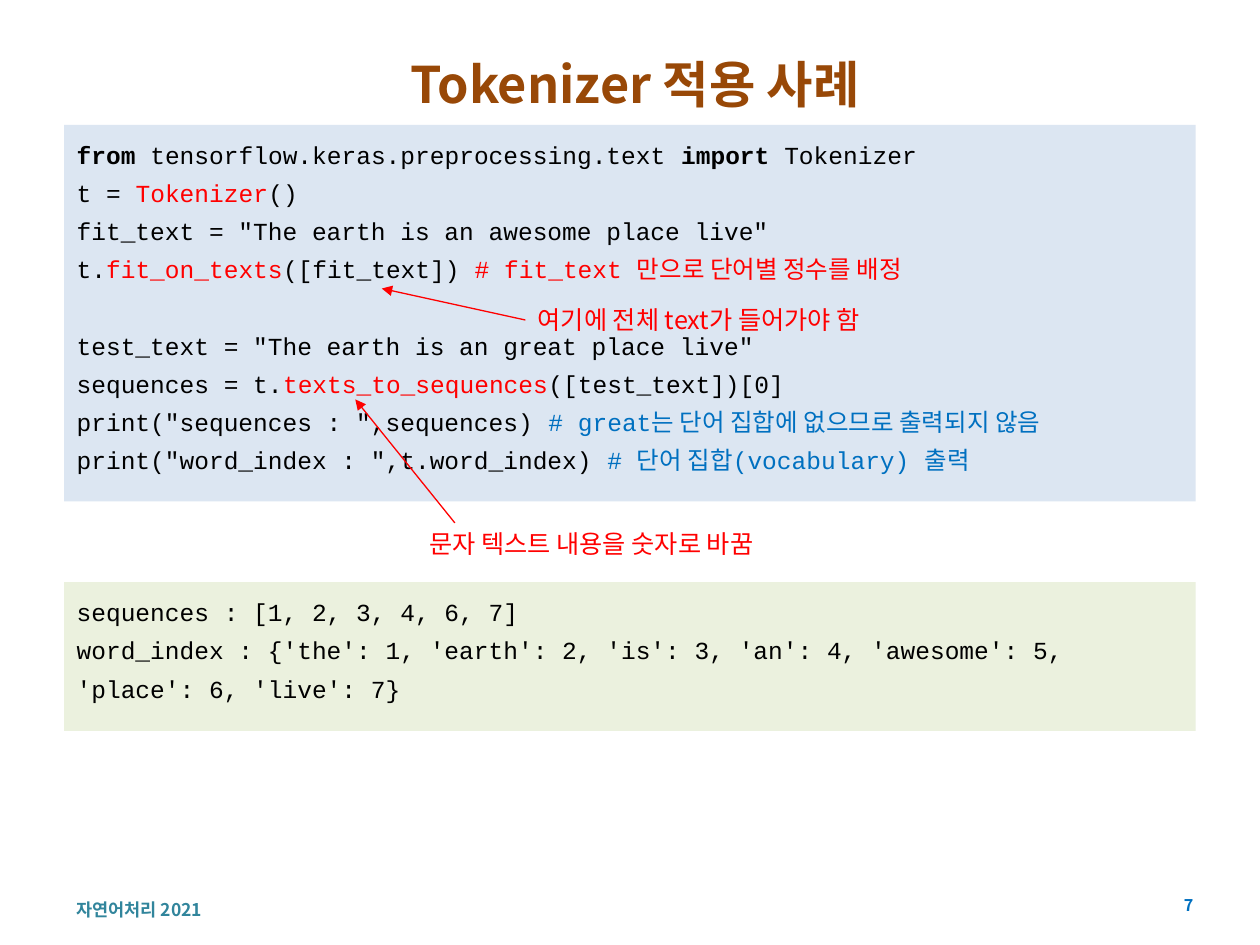
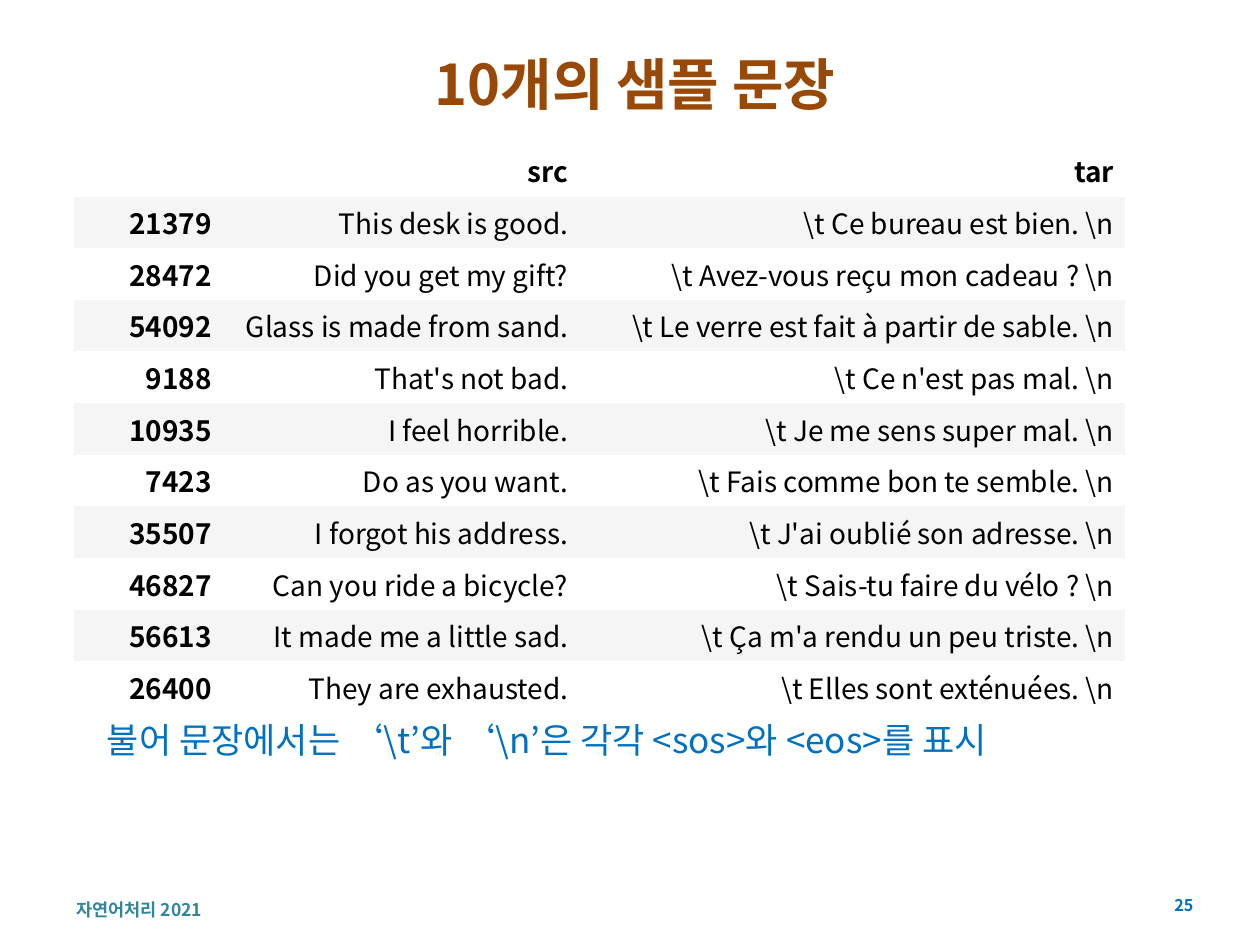
from dataclasses import dataclass

from lxml import etree
from pptx import Presentation
from pptx.dml.color import RGBColor
from pptx.enum.shapes import MSO_CONNECTOR, MSO_SHAPE
from pptx.enum.text import MSO_ANCHOR, PP_ALIGN
from pptx.oxml.ns import qn
from pptx.util import Inches, Pt

LEFT, CENTER, RIGHT = PP_ALIGN.LEFT, PP_ALIGN.CENTER, PP_ALIGN.RIGHT
TOP, MIDDLE = MSO_ANCHOR.TOP, MSO_ANCHOR.MIDDLE
RECT, STRAIGHT = MSO_SHAPE.RECTANGLE, MSO_CONNECTOR.STRAIGHT

COLORS = {
    "title": "984807", "footer": "31859C", "blue": "0070C0", "red": "FF0000",
    "black": "000000", "code": "DCE6F2", "output": "EBF1DE",
    "white": "FFFFFF", "band": "F5F5F5",
}
SANS, MONO = "Noto Sans CJK KR", "Courier New"
NO_STYLE = "{2D5ABB26-0587-4C30-8999-92F81FD0307C}"
EDGE = 0.51
LINE_GAP = 21.9


@dataclass
class Style:
    """Type settings of a paragraph."""
    size: float
    color: str = "black"
    bold: bool = False
    align: int = LEFT
    font: str = SANS


@dataclass
class Piece:
    """A piece of a code line that may stand out."""
    text: str
    color: str = ""
    bold: bool = False


@dataclass
class Line:
    """A line of code with the space above it."""
    pieces: list[Piece]
    before: float = 0


@dataclass
class Note:
    """A red remark with an arrow into the code."""
    text: str
    box: tuple
    start: tuple
    end: tuple


TITLE = Style(32, "title", True, CENTER)
FOOTER = Style(10, "footer", True)
NUMBER = Style(9.2, "blue", True, RIGHT)
REMARK = Style(14.4, "red")
LEGEND = Style(20, "blue")
CODE = Style(14, font=MONO)

SOURCE = [
    Line([Piece("from", bold=True), Piece(" tensorflow.keras.preprocessing.text "),
          Piece("import", bold=True), Piece(" Tokenizer")]),
    Line([Piece("t = "), Piece("Tokenizer", "red"), Piece("()")]),
    Line([Piece('fit_text = "The earth is an awesome place live"')]),
    Line([Piece("t."), Piece("fit_on_texts", "red"), Piece("([fit_text]) "),
          Piece("# fit_text 만으로 단어별 정수를 배정", "red")]),
    Line([Piece('test_text = "The earth is an great place live"')], LINE_GAP),
    Line([Piece("sequences = t."), Piece("texts_to_sequences", "red"),
          Piece("([test_text])[0]")]),
    Line([Piece('print("sequences : ",sequences) '),
          Piece("# great는 단어 집합에 없으므로 출력되지 않음", "blue")]),
    Line([Piece('print("word_index : ",t.word_index) '),
          Piece("# 단어 집합(vocabulary) 출력", "blue")]),
]
OUTPUT = [
    Line([Piece("sequences : [1, 2, 3, 4, 6, 7]")]),
    Line([Piece("word_index : {'the': 1, 'earth': 2, 'is': 3, 'an': 4, "
                "'awesome': 5, 'place': 6, 'live': 7}")]),
]
NOTES = [
    Note("여기에 전체 text가 들어가야 함", (4.17, 2.26, 3.46, 0.55),
         (4.17, 2.54), (3.03, 2.29)),
    Note("문자 텍스트 내용을 숫자로 바꿈", (3.31, 4.12, 3.39, 0.39),
         (3.61, 4.15), (2.82, 3.17)),
]
COLS = (1.18, 2.83, 4.33)
ROW = 0.41
SAMPLES = [
    ("", "src", "tar"),
    ("21379", "This desk is good.", r"\t Ce bureau est bien. \n"),
    ("28472", "Did you get my gift?", "\\t Avez-vous reçu mon cadeau\u00a0? \\n"),
    ("54092", "Glass is made from sand.",
     r"\t Le verre est fait à partir de sable. \n"),
    ("9188", "That's not bad.", r"\t Ce n'est pas mal. \n"),
    ("10935", "I feel horrible.", r"\t Je me sens super mal. \n"),
    ("7423", "Do as you want.", r"\t Fais comme bon te semble. \n"),
    ("35507", "I forgot his address.", r"\t J'ai oublié son adresse. \n"),
    ("46827", "Can you ride a bicycle?", r"\t Sais-tu faire du vélo ? \n"),
    ("56613", "It made me a little sad.", r"\t Ça m'a rendu un peu triste. \n"),
    ("26400", "They are exhausted.", r"\t Elles sont exténuées. \n"),
]


def shade(name: str) -> RGBColor:
    """Look up a colour by name."""
    return RGBColor.from_string(COLORS[name])


def dress(para, style: Style) -> None:
    """Give a paragraph its type settings, with Hangul in the sans font."""
    font = para.font
    font.name, font.size, font.bold = style.font, Pt(style.size), style.bold
    font.color.rgb = shade(style.color)
    para.alignment = style.align
    base = para._p.pPr.find(qn("a:defRPr"))
    etree.SubElement(base, qn("a:ea"), typeface=SANS)


def write(slide, box: tuple, text: str, style: Style) -> None:
    """Add a text box of one line, centred in its height."""
    frame = slide.shapes.add_textbox(*map(Inches, box)).text_frame
    frame.word_wrap, frame.vertical_anchor = True, MIDDLE
    para = frame.paragraphs[0]
    para.text = text
    dress(para, style)


def panel(slide, top: float, height: float, fill: str, lines: list[Line]) -> None:
    """Add a filled block of code."""
    shape = slide.shapes.add_shape(
        RECT, Inches(EDGE), Inches(top), Inches(8.98), Inches(height))
    shape.shadow.inherit = False
    shape.fill.solid()
    shape.fill.fore_color.rgb = shade(fill)
    shape.line.fill.background()
    frame = shape.text_frame
    frame.word_wrap, frame.vertical_anchor = True, TOP
    for i, line in enumerate(lines):
        para = frame.add_paragraph() if i else frame.paragraphs[0]
        dress(para, CODE)
        para.line_spacing, para.space_before = 1.3, Pt(line.before)
        for piece in line.pieces:
            run = para.add_run()
            run.text = piece.text
            if piece.bold:
                run.font.bold = True
            if piece.color:
                run.font.color.rgb = shade(piece.color)


def arrow(slide, start: tuple, end: tuple) -> None:
    """Draw a thin red arrow."""
    link = slide.shapes.add_connector(STRAIGHT, *map(Inches, start + end))
    link.line.color.rgb = shade("red")
    link.line.width = Pt(0.75)
    props = link._element.spPr
    etree.SubElement(props.find(qn("a:ln")), qn("a:tailEnd"), type="triangle")
    etree.SubElement(props, qn("a:effectLst"))


def grid(slide, left: float, top: float, rows: list[tuple]) -> None:
    """Add the banded table, with bold heads in the first row and column."""
    table = slide.shapes.add_table(
        len(rows), len(COLS), Inches(left), Inches(top),
        Inches(sum(COLS)), Inches(ROW * len(rows))).table
    table._tbl.tblPr.find(qn("a:tableStyleId")).text = NO_STYLE
    table.first_row = table.horz_banding = False
    for col, width in zip(table.columns, COLS):
        col.width = Inches(width)
    for r, row in enumerate(rows):
        table.rows[r].height = Inches(ROW)
        for c, text in enumerate(row):
            cell = table.cell(r, c)
            cell.margin_left = cell.margin_right = Inches(0.09)
            cell.margin_top = cell.margin_bottom = Inches(0.04)
            cell.vertical_anchor = MIDDLE
            cell.fill.solid()
            cell.fill.fore_color.rgb = shade("band" if r % 2 else "white")
            para = cell.text_frame.paragraphs[0]
            if text:
                para.text = text
            dress(para, Style(16, bold=r == 0 or c == 0, align=RIGHT))


def start(deck, title: str, number: int, size: float = TITLE.size):
    """Add a slide with its title and footer."""
    slide = deck.slides.add_slide(deck.slide_layouts[6])
    write(slide, (EDGE, 7.14, 2.6, 0.16), "자연어처리 2021", FOOTER)
    write(slide, (9.02, 7.06, 0.55, 0.24), str(number), NUMBER)
    write(slide, (EDGE, 0.36, 9.06, 0.6), title,
          Style(size, TITLE.color, TITLE.bold, TITLE.align))
    return slide


def main() -> None:
    """Build and save the deck."""
    deck = Presentation()
    deck.slide_width, deck.slide_height = Inches(10), Inches(7.5)

    usage = start(deck, "Tokenizer 적용 사례", 7, 28.8)
    panel(usage, 0.99, 2.99, "code", SOURCE)
    panel(usage, 4.62, 1.18, "output", OUTPUT)
    for note in NOTES:
        write(usage, note.box, note.text, REMARK)
        arrow(usage, note.start, note.end)

    pairs = start(deck, "10개의 샘플 문장", 25)
    grid(pairs, 0.59, 1.15, SAMPLES)
    write(pairs, (0.75, 5.32, 8.35, 1.1),
          r"불어 문장에서는 ‘\t’와 ‘\n’은 각각 <sos>와 <eos>를 표시", LEGEND)

    deck.save("out.pptx")


main()
